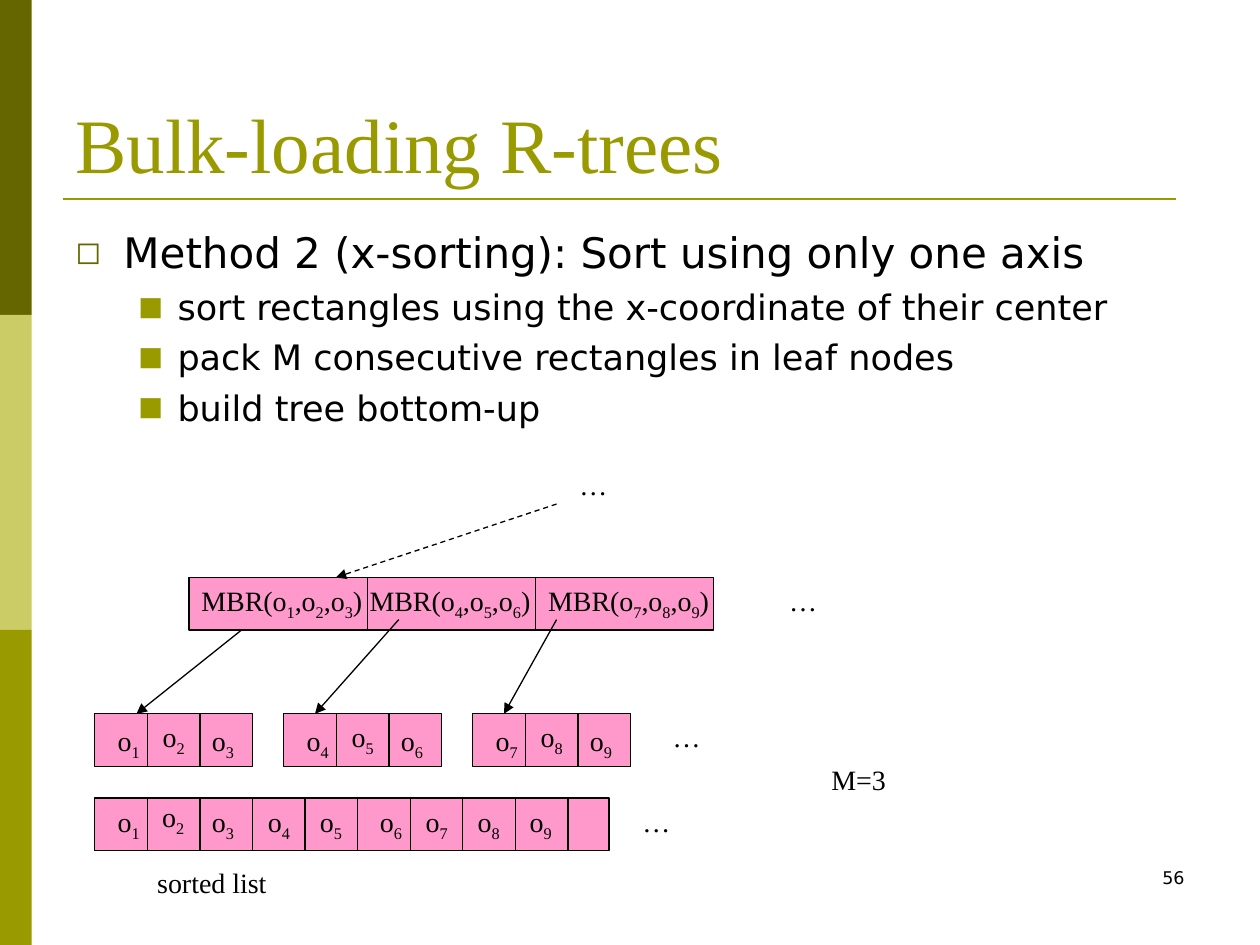
from lxml import etree
from pptx import Presentation
from pptx.dml.color import RGBColor
from pptx.enum.dml import MSO_LINE
from pptx.enum.shapes import MSO_CONNECTOR, MSO_SHAPE
from pptx.enum.text import MSO_ANCHOR, PP_ALIGN
from pptx.oxml.ns import qn
from pptx.util import Cm, Pt

RECTANGLE = MSO_SHAPE.RECTANGLE
STRAIGHT = MSO_CONNECTOR.STRAIGHT
DASH = MSO_LINE.DASH
BOTTOM = MSO_ANCHOR.BOTTOM
RIGHT = PP_ALIGN.RIGHT

BLACK = RGBColor(0x00, 0x00, 0x00)
DARK_OLIVE = RGBColor(0x66, 0x66, 0x00)
OLIVE = RGBColor(0x99, 0x99, 0x00)
LIGHT_OLIVE = RGBColor(0xCC, 0xCC, 0x66)
PINK = RGBColor(0xFF, 0x99, 0xCC)

TITLE_FORMAT = {"name": "Times New Roman", "size": Pt(44)}
LABEL_FORMAT = {"name": "Times New Roman", "size": Pt(16)}
NUMBER_FORMAT = {"name": "DejaVu Sans", "size": Pt(10)}

CELL = 1.06
LIST_TOP, LEAF_TOP, ROOT_TOP = 16.09, 14.39, 11.64
LIST_LEFT, ROOT_LEFT = 1.91, 3.81
LEAF_PITCH = 3.81

presentation = Presentation()
presentation.slide_width = Cm(25.4)
presentation.slide_height = Cm(19.05)
slide = presentation.slides.add_slide(presentation.slide_layouts[6])


def add_text(text, left, top, width, height, font_format, color=BLACK, wrap=False):
    """Add a text box; the character after each underscore becomes a subscript."""
    box = slide.shapes.add_textbox(Cm(left), Cm(top), Cm(width), Cm(height))
    box.text_frame.word_wrap = wrap
    paragraph = box.text_frame.paragraphs[0]
    first, *rest = text.split("_")
    pieces = [(first, False)]
    for part in rest:
        pieces += [(part[0], True), (part[1:], False)]
    for piece, is_subscript in pieces:
        if not piece:
            continue
        run = paragraph.add_run()
        run.text = piece
        for name, value in font_format.items():
            setattr(run.font, name, value)
        run.font.color.rgb = color
        if is_subscript:
            run.font._element.set("baseline", "-25000")
    return box


def add_line(start, end, color=BLACK, width=0.75, dash=None, arrow=False):
    connector = slide.shapes.add_connector(STRAIGHT, *map(Cm, start + end))
    connector.line.color.rgb = color
    connector.line.width = Pt(width)
    if dash:
        connector.line.dash_style = dash
    if arrow:
        line = connector.line._get_or_add_ln()
        etree.SubElement(line, qn("a:tailEnd"), type="triangle")
    etree.SubElement(connector._element.spPr, qn("a:effectLst"))


# Side band and title rule
for index, color in enumerate([DARK_OLIVE, LIGHT_OLIVE, OLIVE]):
    band = slide.shapes.add_shape(RECTANGLE, 0, Cm(6.35 * index), Cm(0.64), Cm(6.35))
    band.shadow.inherit = False
    band.fill.solid()
    band.fill.fore_color.rgb = color
    band.line.fill.background()
add_line((1.27, 4.01), (23.7, 4.01), OLIVE, 1.5)

title = add_text("Bulk-loading R-trees", 1.27, 0.76, 22.86, 3.18, TITLE_FORMAT, OLIVE, True)
title.text_frame.vertical_anchor = BOTTOM

# Bulleted text
body = slide.shapes.add_textbox(Cm(1.27), Cm(4.45), Cm(22.86), Cm(12.57))
body.text_frame.word_wrap = True
bullet_styles = [
    # margin, hanging indent, character, bullet colour, text size
    (0.97, 0.97, "◻", DARK_OLIVE, 24),
    (2.06, 0.79, "■", OLIVE, 20),
]
body_lines = [
    (0, "Method 2 (x-sorting): Sort using only one axis"),
    (1, "sort rectangles using the x-coordinate of their center"),
    (1, "pack M consecutive rectangles in leaf nodes"),
    (1, "build tree bottom-up"),
]
for index, (level, text) in enumerate(body_lines):
    margin, hanging, character, bullet_color, size = bullet_styles[level]
    paragraph = body.text_frame.add_paragraph() if index else body.text_frame.paragraphs[0]
    paragraph.text = text
    paragraph.level = level
    properties = paragraph._p.get_or_add_pPr()
    properties.set("marL", str(Cm(margin)))
    properties.set("indent", str(-Cm(hanging)))
    color_element = etree.SubElement(properties, qn("a:buClr"))
    etree.SubElement(color_element, qn("a:srgbClr"), val=str(bullet_color))
    etree.SubElement(properties, qn("a:buSzPct"), val="75000")
    etree.SubElement(properties, qn("a:buFont"), typeface="DejaVu Sans")
    etree.SubElement(properties, qn("a:buChar"), char=character)
    if index:
        paragraph.space_before = Pt(4.7)
    for name, value in {"name": "DejaVu Sans", "size": Pt(size)}.items():
        setattr(paragraph.font, name, value)
    paragraph.font.color.rgb = BLACK

# Sorted list, leaf nodes and root node: left, top, width, divider offsets
leaf_lefts = [LIST_LEFT + LEAF_PITCH * leaf for leaf in range(3)]
nodes = [(LIST_LEFT, LIST_TOP, 10.37, [CELL * cell for cell in range(1, 10)])]
nodes += [(left, LEAF_TOP, 3 * CELL, [CELL, 2 * CELL]) for left in leaf_lefts]
nodes.append((ROOT_LEFT, ROOT_TOP, 10.58, [3.6, 6.99]))
for left, top, width, dividers in nodes:
    node = slide.shapes.add_shape(RECTANGLE, Cm(left), Cm(top), Cm(width), Cm(CELL))
    node.shadow.inherit = False
    node.fill.solid()
    node.fill.fore_color.rgb = PINK
    node.line.color.rgb = BLACK
    node.line.width = Pt(0.75)
    for offset in dividers:
        add_line((left + offset, top), (left + offset, top + CELL))

# Object labels in the list and in the leaves
list_label_lefts = [2.12, 3.02, 4.02, 5.15, 6.2, 7.41, 8.33, 9.38, 10.43]
leaf_label_offsets = [(0.21, 0.08), (1.12, 0), (2.11, 0.08)]
for index, list_label_left in enumerate(list_label_lefts):
    label = f"o_{index + 1}"
    list_label_top = LIST_TOP - 0.09 if index == 1 else LIST_TOP
    add_text(label, list_label_left, list_label_top, 0.99, 0.94, LABEL_FORMAT)
    leaf, position = divmod(index, 3)
    shift_x, shift_y = leaf_label_offsets[position]
    add_text(label, leaf_lefts[leaf] + shift_x, LEAF_TOP + shift_y, 0.99, 0.94, LABEL_FORMAT)

# Root entries and remaining labels: text, left, top, width
labels = [
    ("MBR(o_1,o_2,o_3)", ROOT_LEFT, ROOT_TOP, 3.86),
    ("MBR(o_4,o_5,o_6)", 7.2, ROOT_TOP, 3.86),
    ("MBR(o_7,o_8,o_9)", 10.8, ROOT_TOP, 3.86),
    ("…", 15.66, ROOT_TOP, 1.07),
    ("…", 11.43, 9.31, 1.07),
    ("…", 13.31, LEAF_TOP, 1.07),
    ("…", 12.7, LIST_TOP, 1.07),
    ("sorted list", 2.92, 17.32, 2.74),
    ("M=3", 16.51, 15.24, 1.63),
]
for text, left, top, width in labels:
    add_text(text, left, top, width, 0.94, LABEL_FORMAT)

# Pointers between levels
pointers = [
    ((4.87, 12.7), (2.75, LEAF_TOP), None),
    ((8.04, 12.49), (6.35, LEAF_TOP), None),
    ((11.22, 12.49), (10.16, LEAF_TOP), None),
    ((11.22, 10.16), (6.77, ROOT_TOP), DASH),
]
for start, end, dash in pointers:
    add_line(start, end, dash=dash, arrow=True)

number = add_text("56", 18.2, 17.36, 5.93, 1.27, NUMBER_FORMAT, wrap=True)
number.text_frame.paragraphs[0].alignment = RIGHT

presentation.save("out.pptx")
